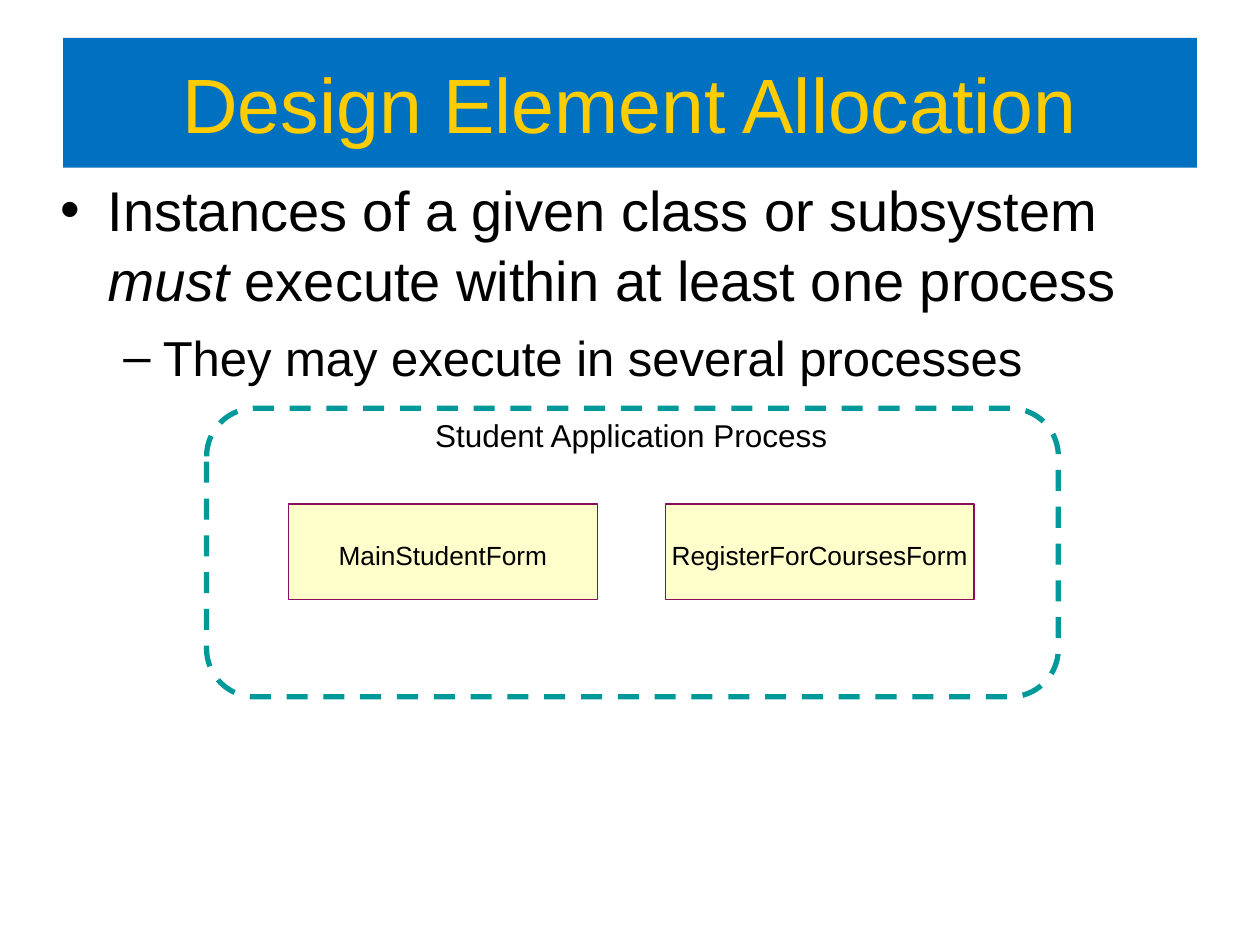
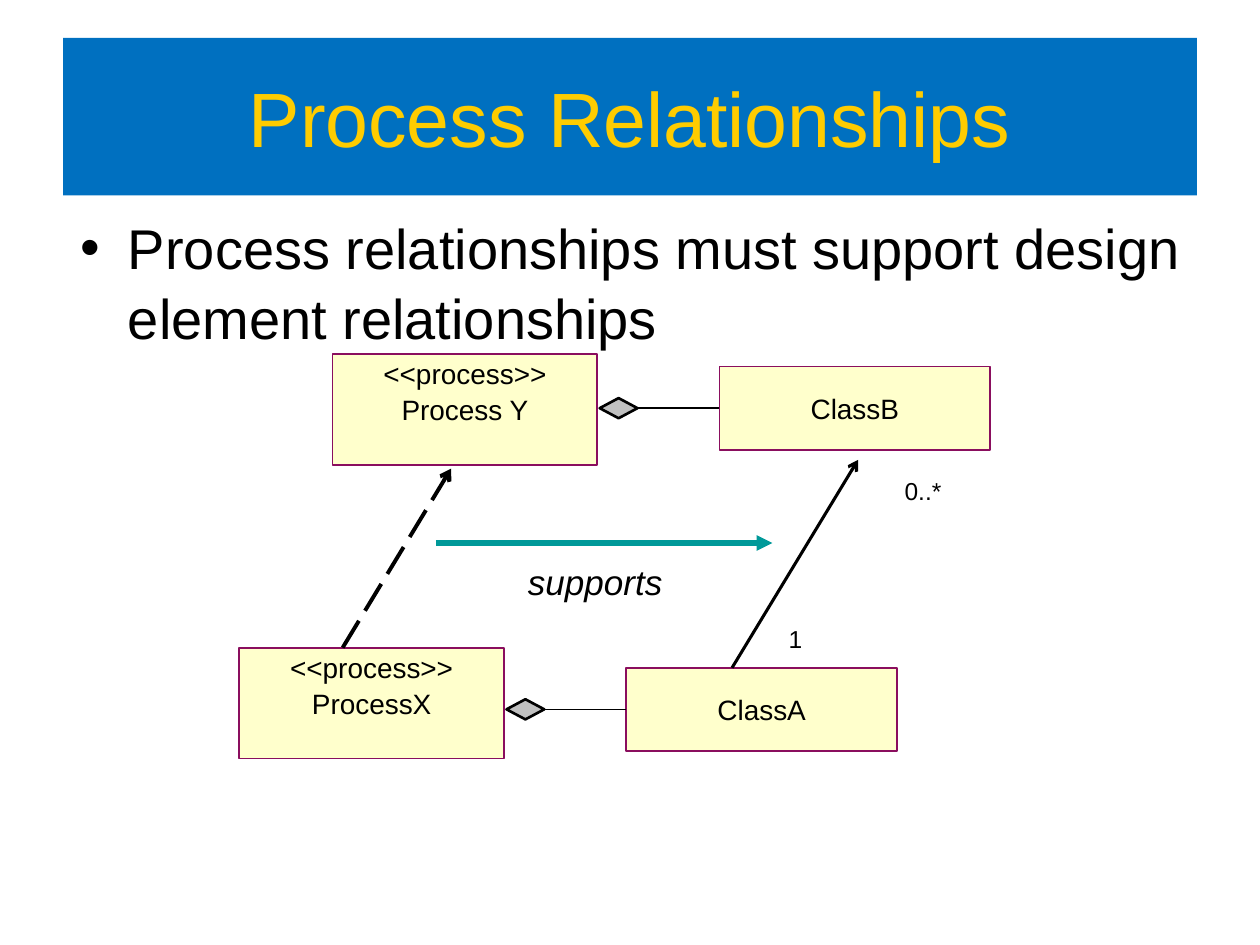
from lxml.etree import SubElement
from pptx import Presentation
from pptx.dml.color import RGBColor
from pptx.enum.dml import MSO_LINE
from pptx.enum.shapes import MSO_CONNECTOR, MSO_SHAPE
from pptx.enum.text import MSO_ANCHOR, MSO_AUTO_SIZE, PP_ALIGN
from pptx.oxml.ns import qn
from pptx.util import Emu, Pt

PX = 9144
COLORS = {"band": "0070C0", "title": "FFCC00", "text": "000000", "box": "FFFFCC",
          "border": "8A0E5E", "accent": "009999", "diamond": "C0C0C0"}
RGB = {name: RGBColor.from_string(value) for name, value in COLORS.items()}
TITLE = {"alignment": PP_ALIGN.CENTER}
BODY = {"line_spacing": 1.04}
CENTERED = {"alignment": PP_ALIGN.CENTER}
LEFT = {"alignment": PP_ALIGN.LEFT}
FRAME = {"word_wrap": True, "auto_size": MSO_AUTO_SIZE.NONE}
NO_INSETS = {"margin_left": 0, "margin_right": 0, "margin_top": 0, "margin_bottom": 0}
LABEL_INSETS = {"margin_left": 12 * PX, "margin_right": 12 * PX,
                "margin_top": 6 * PX, "margin_bottom": 6 * PX}


def write(tf, lines, color, paragraph_format, frame_format):
    for name, value in {**FRAME, **frame_format}.items():
        setattr(tf, name, value)
    for i, (text, size, level, before) in enumerate(lines):
        p = tf.paragraphs[0] if i == 0 else tf.add_paragraph()
        p.level = level
        p.space_before = Pt(before)
        for name, value in paragraph_format.items():
            setattr(p, name, value)
        for j, part in enumerate(text.split("_")):
            r = p.add_run()
            r.text = part
            font = {"name": "Arial", "size": Pt(size), "italic": j % 2 == 1}
            for name, value in font.items():
                setattr(r.font, name, value)
            r.font.color.rgb = RGB[color]


def add_box(slide, shape, rect, fill, line, width):
    s = slide.shapes.add_shape(shape, *[Emu(n * PX) for n in rect])
    s.shadow.inherit = False
    if fill:
        s.fill.solid()
        s.fill.fore_color.rgb = RGB[fill]
    else:
        s.fill.background()
    s.line.color.rgb = RGB[line]
    s.line.width = Pt(width)
    return s


prs = Presentation()
prs.slide_width, prs.slide_height = Emu(1000 * PX), Emu(750 * PX)

pages = [
    ("Design Element Allocation", (50, 30, 900, 103), (38, 132, 929, 191),
     [("Instances of a given class or subsystem _must _execute within at least one process", 32, 0, 0),
      ("They may execute in several processes", 28, 1, 7)]),
    ("Process Relationships", (50, 30, 900, 125), (54, 162, 900, 493),
     [("Process relationships must support design element relationships", 32, 0, 0)]),
]
slides = []
for title, title_rect, body_rect, lines in pages:
    slide = prs.slides.add_slide(prs.slide_layouts[1])
    slides.append(slide)
    for s, rect in zip(slide.placeholders, (title_rect, body_rect)):
        s.left, s.top, s.width, s.height = [Emu(n * PX) for n in rect]
    band, body = slide.placeholders
    band.fill.solid()
    band.fill.fore_color.rgb = RGB["band"]
    write(band.text_frame, [(title, 44, 0, 0)], "title", TITLE,
          {"vertical_anchor": MSO_ANCHOR.MIDDLE})
    write(body.text_frame, lines, "text", BODY, {})
allocation, relationships = slides

for x, name in ((229, "MainStudentForm"), (528, "RegisterForCoursesForm")):
    s = add_box(allocation, MSO_SHAPE.RECTANGLE, (x, 400, 245, 76), "box", "border", 0)
    write(s.text_frame, [(name, 15, 0, 0)], "text", CENTERED,
          {**NO_INSETS, "margin_top": 5 * PX, "vertical_anchor": MSO_ANCHOR.MIDDLE})
s = add_box(allocation, MSO_SHAPE.ROUNDED_RECTANGLE, (164, 324, 676, 229), None, "accent", 3)
s.line.dash_style = MSO_LINE.DASH

links = []
for process, x, y, class_name, class_y in (("Process Y", 264, 281, "ClassB", 291),
                                           ("ProcessX", 190, 514, "ClassA", 530)):
    s = add_box(relationships, MSO_SHAPE.RECTANGLE, (x, y, 210, 88), "box", "border", 1)
    write(s.text_frame, [("<<process>>", 16, 0, 0), (process, 16, 0, 1.5)], "text", CENTERED,
          {**NO_INSETS, "margin_top": 2 * PX, "vertical_anchor": MSO_ANCHOR.TOP})
    diamond = add_box(relationships, MSO_SHAPE.DIAMOND, (x + 212, class_y + 25, 30, 16),
                      "diamond", "text", 1.5)
    s = add_box(relationships, MSO_SHAPE.RECTANGLE, (x + 307, class_y, 215, 66),
                "box", "border", 1)
    write(s.text_frame, [(class_name, 16, 0, 0)], "text", CENTERED,
          {**NO_INSETS, "vertical_anchor": MSO_ANCHOR.MIDDLE})
    middle = class_y + 33
    links.append(((x + 242, middle, x + 307, middle), "text", 1, None, None, (diamond, s)))

links += [
    ((581, 530, 681, 365), "text", 1.75, None, "arrow", None),
    ((272, 514, 358, 372), "text", 2.25, MSO_LINE.LONG_DASH, "arrow", None),
    ((346, 431, 613, 431), "accent", 3, None, "triangle", None),
]
for ends, color, width, dash, head, joined in links:
    s = relationships.shapes.add_connector(MSO_CONNECTOR.STRAIGHT, *[Emu(n * PX) for n in ends])
    s.line.color.rgb = RGB[color]
    s.line.width = Pt(width)
    if dash:
        s.line.dash_style = dash
    if head:
        SubElement(s.line._get_or_add_ln(), qn("a:tailEnd"), type=head)
    SubElement(s._element.spPr, qn("a:effectLst"))
    if joined:
        s.begin_connect(joined[0], 3)
        s.end_connect(joined[1], 1)

labels = [
    (allocation, (333, 324, 336, 42), "Student Application Process", 18, CENTERED),
    (relationships, (706, 372, 83, 35), "0..*", 14, LEFT),
    (relationships, (614, 489, 83, 35), "1", 14, LEFT),
    (relationships, (407, 439, 142, 45), "_supports", 20, LEFT),
]
for slide, rect, text, size, alignment in labels:
    s = slide.shapes.add_textbox(*[Emu(n * PX) for n in rect])
    write(s.text_frame, [(text, size, 0, 0)], "text", alignment, LABEL_INSETS)

prs.save("out.pptx")
